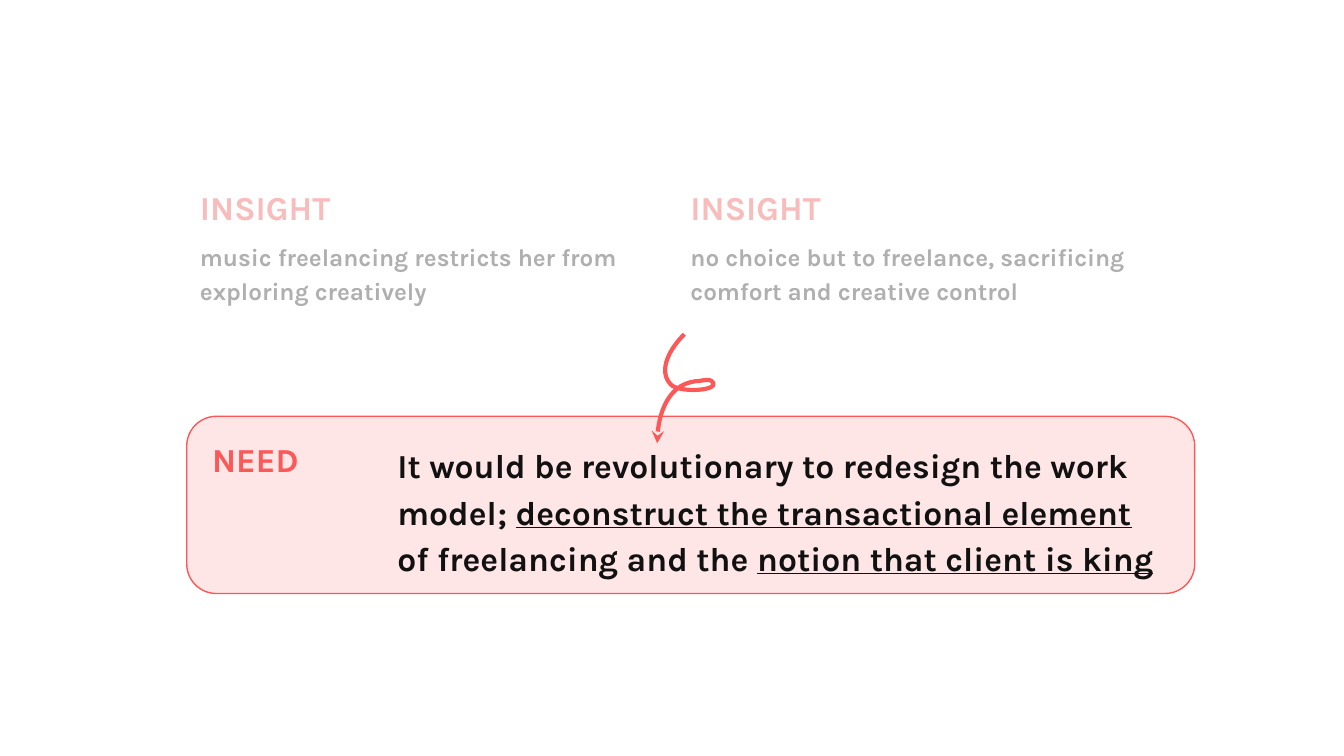
from lxml import etree
from pptx import Presentation
from pptx.dml.color import RGBColor
from pptx.enum.shapes import MSO_SHAPE
from pptx.oxml.ns import qn
from pptx.util import Cm, Pt

ROUNDED = MSO_SHAPE.ROUNDED_RECTANGLE
RED = "FC5857"
HEADING = {"name": "Karla", "size": Pt(18), "bold": True}
BODY = {**HEADING, "size": Pt(13)}
INSIGHTS = [
    ((3.53, 3.28, 8.89, 3.2), "music freelancing restricts her from exploring creatively"),
    ((12.8, 3.28, 9.07, 3.2), "no choice but to freelance, sacrificing comfort and creative control"),
]
NEED = [
    ("It would be revolutionary to redesign the work model; ", False),
    ("deconstruct the transactional element ", True),
    ("of freelancing and the ", False),
    ("notion that client is king", True),
]
LOOP = [
    [(0.48, 0), (0.24, 0.12), (0, 0.33), (0.24, 0.46)],
    [(0.24, 0.46), (0.38, 0.54), (1.1, 0.52), (0.98, 0.44)],
    [(0.98, 0.44), (0.93, 0.4), (0.79, 0.43), (0.69, 0.43)],
    [(0.69, 0.43), (0.14, 0.46), (0, 0.78), (0, 1)],
]


def color(value):
    """Turn a hex string into a colour."""
    return RGBColor.from_string(value)


def add_text(page, box, spans, style, ink, spacing=1.0):
    """Write one paragraph of (text, underlined) spans in a box."""
    frame = page.shapes.add_textbox(*map(Cm, box)).text_frame
    frame.word_wrap = True
    for side in ("left", "top", "right", "bottom"):
        setattr(frame, f"margin_{side}", Cm(0.25))
    para = frame.paragraphs[0]
    para.line_spacing = spacing
    for text, underlined in spans:
        span = para.add_run()
        span.text = text
        for name, value in {**style, "underline": underlined}.items():
            setattr(span.font, name, value)
        span.font.color.rgb = color(ink)


def add_insight(page, box, text):
    """Place a faded heading above its finding."""
    left, top, width, height = box
    add_text(page, (left, top, 5.9, 2.67), [("INSIGHT", False)], HEADING, "F9BCBC")
    body = (left, top + 0.97, width, height - 0.97)
    add_text(page, body, [(text, False)], BODY, "AFAFAF", 1.15)


def add_need(page, box):
    """Place the tinted panel with its label and statement."""
    left, top, width, height = box
    panel = page.shapes.add_shape(ROUNDED, *map(Cm, box))
    panel.shadow.inherit = False
    panel.adjustments[0] = 0.167
    panel.fill.solid()
    panel.fill.fore_color.rgb = color("FFDEDE")
    tint = panel.fill._xPr.find(qn("a:solidFill"))[0]
    etree.SubElement(tint, qn("a:alpha"), val="74000")
    panel.line.color.rgb = color(RED)
    panel.line.width = Pt(0.75)
    statement = (left + 3.73, top + 0.18, width - 4.17, height - 1)
    add_text(page, statement, NEED, HEADING, "121111", 1.15)
    label = (left + 0.23, top + 0.18, 4.55, height - 0.68)
    add_text(page, label, [("NEED", False)], HEADING, RED)


def curve_point(controls, step):
    """Find a point on a cubic curve at a step from 0 to 1."""
    rest = 1 - step
    weights = (rest**3, 3 * rest**2 * step, 3 * rest * step**2, step**3)
    return [sum(w * c for w, c in zip(weights, axis)) for axis in zip(*controls)]


def add_loop_arrow(page, box, steps=16):
    """Draw the looping arrow inside a box."""
    left, top, width, height = box
    points = [LOOP[0][0]]
    points += [curve_point(part, i / steps) for part in LOOP for i in range(1, steps + 1)]
    places = [(Cm(left + x * width), Cm(top + y * height)) for x, y in points]
    builder = page.shapes.build_freeform(*places[0])
    builder.add_line_segments(places[1:], close=False)
    arrow = builder.convert_to_shape()
    arrow.shadow.inherit = False
    arrow.fill.background()
    arrow.line.color.rgb = color(RED)
    arrow.line.width = Pt(2.25)
    outline = arrow.line._get_or_add_ln()
    etree.SubElement(outline, qn("a:round"))
    etree.SubElement(outline, qn("a:tailEnd"), type="stealth")


def main():
    """Build the slide and save it."""
    deck = Presentation()
    deck.slide_width, deck.slide_height = Cm(25.4), Cm(14.29)
    page = deck.slides.add_slide(deck.slide_layouts[6])
    add_need(page, (3.53, 7.87, 19.05, 3.35))
    add_loop_arrow(page, (12.42, 6.32, 1.07, 2.06))
    for box, text in INSIGHTS:
        add_insight(page, box, text)
    deck.save("out.pptx")


if __name__ == "__main__":
    main()
